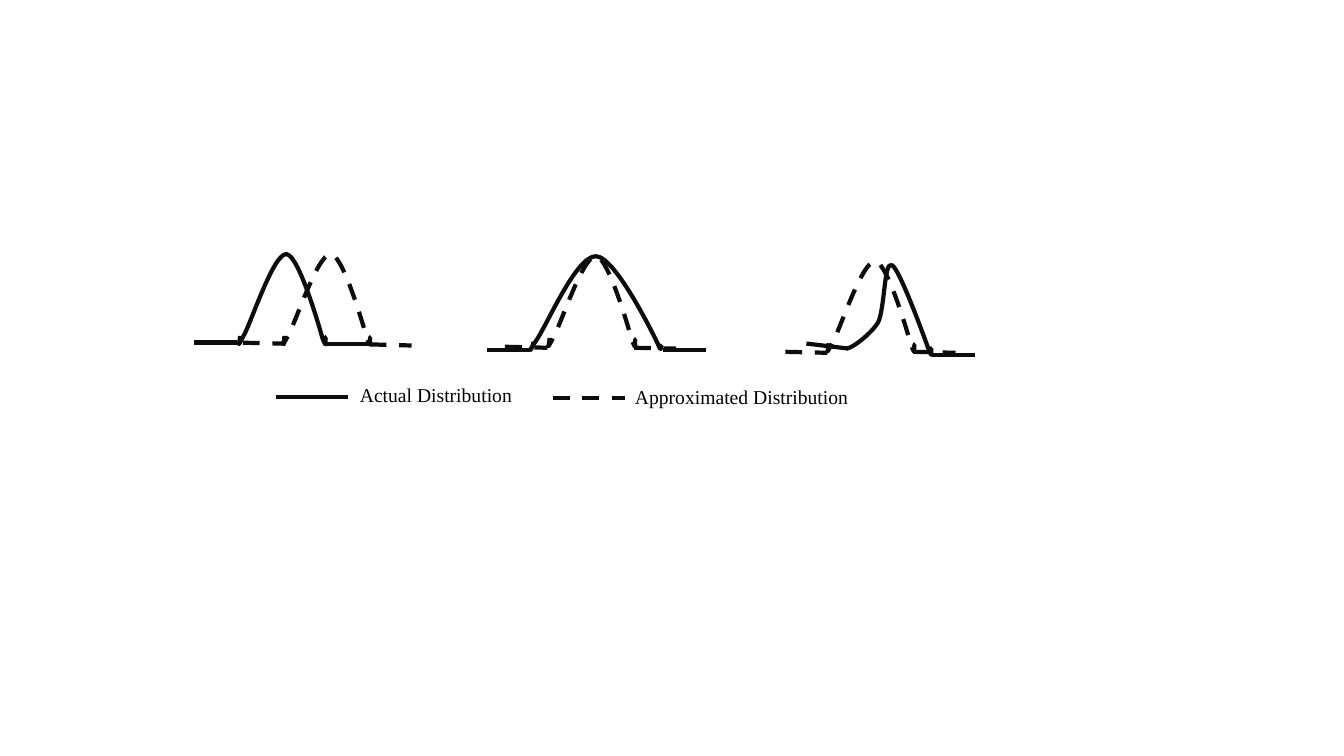
from lxml.etree import SubElement
from pptx import Presentation
from pptx.dml.color import RGBColor
from pptx.enum.dml import MSO_LINE
from pptx.enum.shapes import MSO_CONNECTOR
from pptx.enum.text import MSO_AUTO_SIZE
from pptx.oxml.ns import qn
from pptx.util import Pt

presentation = Presentation()
presentation.slide_width, presentation.slide_height = Pt(960), Pt(540)
slide = presentation.slides.add_slide(presentation.slide_layouts[6])


def style_line(shape, dashed, color="0D0D0D", width=3):
    shape.line.color.rgb = RGBColor.from_string(color)
    shape.line.width = Pt(width)
    if dashed:
        shape.line.dash_style = MSO_LINE.DASH


def add_label(text, left, top, width, height=24.5, size=14, font="Times New Roman", color="000000"):
    frame = slide.shapes.add_textbox(Pt(left), Pt(top), Pt(width), Pt(height)).text_frame
    frame.word_wrap = False
    frame.auto_size = MSO_AUTO_SIZE.SHAPE_TO_FIT_TEXT
    run = frame.paragraphs[0].add_run()
    run.text = text
    run.font.size = Pt(size)
    run.font.name = font
    run.font.color.rgb = RGBColor.from_string(color)


# Bounds (left, top, right, bottom) and cubic Bezier points, measured from the peak
narrow_bell = ((-33.7, 0, 29, 64.6),
               [(-33, 58.5), (-33, 63.5), (-36, 68.5), (-30.5, 58.5), (-25, 49), (-9.4, 0), (0, 0),
                (9.4, 0), (26, 60.5), (26, 60.5), (30.2, 70.5), (26.5, 59), (29, 59)])
wide_bell = ((-46.8, 0, 47.5, 66.2),
             [(-44.6, 61.2), (-44.6, 66.2), (-50.4, 71.3), (-43.2, 61.2), (-35.3, 50.4), (-14.4, 0), (0, 0),
              (14.4, 0), (44, 62), (44, 62), (48.2, 72), (45.4, 62.6), (47.5, 63.4)])
skewed_bell = ((-33.1, -0.6, 28.8, 64),
               [(-33, 58.3), (-33.8, 63.4), (-15.8, 50.4), (-10, 41), (-5, 31), (-5.8, -3.6), (0, 0),
                (5.8, 2.9), (26, 59.8), (26, 59.8), (30.2, 69.8), (26.6, 59), (28.8, 59)])

# Distribution curves: bell, peak x, peak y, dashed
curves = [
    (narrow_bell, 204.5, 181.5, False),
    (narrow_bell, 236.2, 181.5, True),
    (wide_bell, 425.6, 183, False),
    (narrow_bell, 425.6, 183, True),
    (narrow_bell, 625, 186.7, True),
    (skewed_bell, 637.2, 189.4, False),
]
for (bounds, points), peak_x, peak_y, dashed in curves:
    left, top, right, bottom = bounds
    builder = slide.shapes.build_freeform(Pt(peak_x + left), Pt(peak_y + top))
    builder.add_line_segments([(Pt(peak_x + right), Pt(peak_y + bottom))], close=False)
    curve = builder.convert_to_shape()
    curve.shadow.inherit = False
    curve.fill.background()
    style_line(curve, dashed)
    # Put the Bezier segments in place of the diagonal
    outline = next(curve._element.iter(qn("a:path")))
    for segment in list(outline):
        outline.remove(segment)
    for index, (x, y) in enumerate(points):
        if index == 0:
            segment = SubElement(outline, qn("a:moveTo"))
        elif index % 3 == 1:
            segment = SubElement(outline, qn("a:cubicBezTo"))
        SubElement(segment, qn("a:pt"), x=str(int(Pt(x - left))), y=str(int(Pt(y - top))))

# Baseline tails and legend keys: start x, start y, end x, end y, dashed
lines = [
    (138.7, 244.6, 169.3, 244.6, False),
    (196.9, 283.7, 248.5, 283.7, False),
    (394.9, 284.4, 446.4, 284.4, True),
    (264, 246, 294, 246.8, True),
    (173.5, 244.8, 203.8, 245.5, True),
    (233.5, 246, 264, 246, False),
    (360.7, 247.7, 391, 248.4, True),
    (453, 248.4, 483, 249, True),
    (348, 250, 378.7, 250, False),
    (473.3, 250, 504, 250, False),
    (561, 251.3, 591, 252, True),
    (652.3, 251.3, 682.5, 252, True),
    (666, 253.5, 696.6, 253.5, False),
    (576, 245.4, 606.2, 249, False),
]
for start_x, start_y, end_x, end_y, dashed in lines:
    line = slide.shapes.add_connector(MSO_CONNECTOR.STRAIGHT, Pt(start_x), Pt(start_y), Pt(end_x), Pt(end_y))
    style_line(line, dashed)
    SubElement(line._element.spPr, qn("a:effectLst"))

# Legend labels
add_label("Actual Distribution", 250, 270, 124)
add_label("Approximated Distribution", 446.4, 271.4, 168)

presentation.save("out.pptx")
